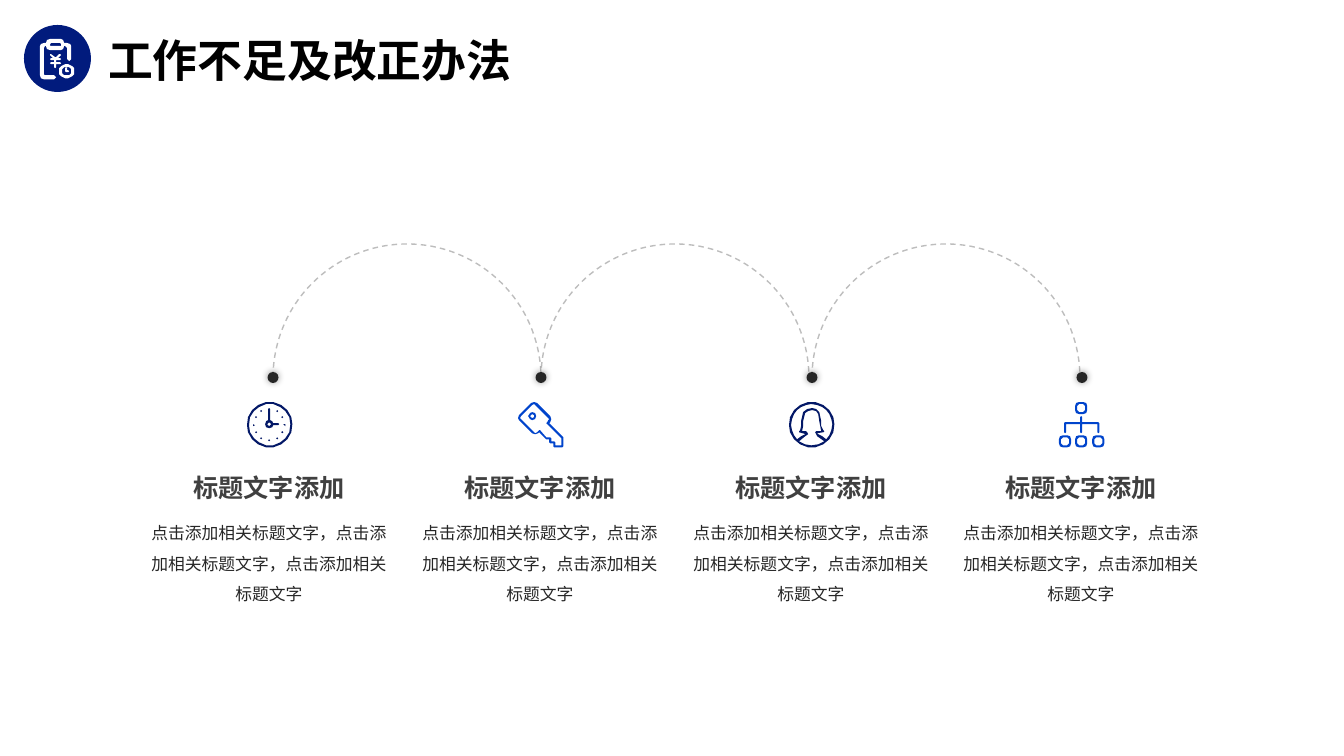
from math import cos, radians, sin

from lxml import etree
from pptx import Presentation
from pptx.dml.color import RGBColor
from pptx.enum.dml import MSO_LINE
from pptx.enum.shapes import MSO_SHAPE
from pptx.enum.text import MSO_ANCHOR, PP_ALIGN
from pptx.oxml.ns import qn
from pptx.util import Inches, Pt

OVAL, ARC, DASH = MSO_SHAPE.OVAL, MSO_SHAPE.ARC, MSO_LINE.DASH
LEFT, CENTER, TOP = PP_ALIGN.LEFT, PP_ALIGN.CENTER, MSO_ANCHOR.TOP

FONT = "Noto Sans CJK SC"
BLACK = RGBColor(0x00, 0x00, 0x00)
WHITE = RGBColor(0xFF, 0xFF, 0xFF)
CHARCOAL = RGBColor(0x26, 0x26, 0x26)
GRAY = RGBColor(0x40, 0x40, 0x40)
BADGE_BLUE = RGBColor(0x01, 0x1B, 0x7D)
NAVY = RGBColor(0x03, 0x18, 0x67)
BLUE = RGBColor(0x00, 0x44, 0xCC)

SLIDE_WIDTH, SLIDE_HEIGHT = 1344, 756
PX = 12192000 / SLIDE_WIDTH
ICON_UNIT = Inches(0.01)


def curve(x, y, radius, start=0, end=360, step=20):
    """Return points along a circle, clockwise from start to end in degrees."""
    return [(x + radius * cos(radians(angle)), y + radius * sin(radians(angle)))
            for angle in range(start, end + 1, step)]


def rounded_square(x, y, size, radius):
    near, far = radius, size - radius
    corners = [(far, far), (near, far), (near, near), (far, near)]
    return [point for turn, (dx, dy) in enumerate(corners)
            for point in curve(x + dx, y + dy, radius, 90 * turn, 90 * turn + 90, 45)]


# Each icon is a list of contours in icon units from its top left corner;
# a contour inside another one is a hole.
RING = [curve(22.5, 22.5, 22.5), curve(22.5, 22.5, 20.5)]
CLOCK = RING + [
    [(31, 21), (26, 21), (25, 19), (23, 18), (23, 7), (22, 6), (21, 7), (21, 18),
     (19, 19), (18, 22), (19, 25), (22, 26), (25, 25), (26, 23), (31, 23), (32, 22)],
    curve(22, 22, 2, step=45),
] + [curve(x, y, 1, step=90) for x, y in curve(22, 22.5, 15.5, -60, 240, 30)]
KEY = [
    [(45, 35), (31, 21), (32, 20), (33, 17), (32, 14), (19, 1), (16, 0), (13, 1),
     (1, 13), (0, 16), (1, 18), (14, 31), (17, 32), (20, 31), (21, 30), (27, 36),
     (28, 37), (31, 37), (31, 40), (32, 41), (35, 41), (35, 44), (36, 45), (44, 45),
     (45, 44)],
    [(43, 43), (37, 43), (37, 40), (36, 39), (33, 39), (33, 36), (32, 35), (28, 35),
     (22, 28), (21, 28), (19, 30), (17, 31), (16, 30), (3, 17), (2, 16), (3, 14),
     (14, 3), (16, 2), (17, 3), (30, 16), (31, 17), (30, 18), (29, 20), (28, 21),
     (29, 22), (43, 36)],
    curve(14.5, 14, 4, step=45), curve(14.5, 14, 2, step=45),
]
PERSON = [
    RING[0],
    curve(22.5, 22.5, 20.5, 135, 405, 15) + [
        (33, 34), (29, 32), (28, 31), (34, 30), (35, 29), (34, 28), (32, 24), (32, 19),
        (30, 10), (27, 7), (23, 6), (18, 7), (14, 10), (12, 19), (12, 24), (11, 28),
        (10, 29), (10, 30), (17, 32), (16, 32), (12, 34)],
    [(22, 43), (16, 42), (10, 39), (16, 34), (19, 32), (18, 30), (17, 29), (13, 29),
     (14, 24), (14, 19), (16, 11), (19, 9), (23, 8), (27, 9), (29, 12), (30, 19),
     (31, 24), (32, 29), (27, 29), (26, 30), (28, 34), (35, 39), (29, 42)],
]
CHART = [
    [(6, 31), (7, 30), (7, 22), (21, 22), (21, 30), (22, 31), (23, 30), (23, 22),
     (38, 22), (38, 30), (39, 31), (40, 30), (40, 21), (39, 20), (23, 20), (23, 15),
     (22, 14), (21, 15), (21, 20), (6, 20), (5, 21), (5, 30)],
]
for box_x, box_y in [(16, 0), (0, 33), (16, 33), (33, 33)]:
    CHART += [rounded_square(box_x, box_y, 12, 4),
              rounded_square(box_x + 2, box_y + 2, 8, 2)]
CLIPBOARD = [
    curve(26.5, 32, 7.5), curve(26.5, 32, 4.5),
    [(28, 33), (26, 33), (25, 32), (25, 29), (26, 28), (27, 29), (27, 31), (28, 31),
     (29, 32)],
    [(20, 23), (21, 24), (20, 25), (16, 25), (16, 28), (15, 29), (14, 28), (14, 25),
     (11, 25), (10, 24), (11, 23), (14, 23), (14, 21), (11, 21), (10, 20), (11, 19),
     (13, 19), (10, 16), (10, 15), (11, 15), (15, 18), (16, 18), (19, 15), (20, 15),
     (21, 16), (18, 19), (20, 19), (21, 20), (20, 21), (16, 21), (16, 23)],
    [(29, 22), (27, 20), (27, 9), (25, 7), (24, 7), (23, 10), (21, 11), (10, 11),
     (7, 10), (6, 7), (5, 7), (4, 9), (4, 35), (5, 36), (14, 36), (16, 38), (14, 40),
     (4, 40), (1, 39), (0, 36), (0, 7), (1, 5), (4, 4), (6, 4), (7, 1), (10, 0),
     (21, 0), (23, 1), (24, 4), (27, 4), (30, 5), (31, 7), (31, 20)],
    [(21, 5), (20, 4), (11, 4), (10, 5), (10, 7), (21, 7)],
]

TITLE = "工作不足及改正办法"
HEADING = "标题文字添加"
BODY = "点击添加相关标题文字，点击添加相关标题文字，点击添加相关标题文字"
# text centre, dot centre, icon, icon colour, heading, body
COLUMNS = [
    (269, 273, CLOCK, NAVY, HEADING, BODY),
    (540, 541, KEY, BLUE, HEADING, BODY),
    (811, 812, PERSON, NAVY, HEADING, BODY),
    (1081, 1082, CHART, BLUE, HEADING, BODY),
]
DOT_TOP, DOT_SIZE = 372, 11
ARC_TOP, ARC_SIZE = 244, 268
ICON_TOP, ICON_SHIFT = 402, -22
HEADING_TOP, HEADING_WIDTH, HEADING_HEIGHT = 472, 270, 30
BODY_TOP, BODY_WIDTH, BODY_HEIGHT = 513, 242, 92


def emu(*lengths):
    return [round(length * PX) for length in lengths]


def add_plain_shape(page, kind, left, top, size):
    shape = page.shapes.add_shape(kind, *emu(left, top, size, size))
    shape.shadow.inherit = False
    return shape


def paint(shape, color):
    shape.fill.solid()
    shape.fill.fore_color.rgb = color
    shape.line.fill.background()


def draw_icon(page, contours, left, top, color):
    builder = page.shapes.build_freeform(*contours[0][0], scale=ICON_UNIT)
    builder.add_line_segments(contours[0][1:])
    for contour in contours[1:]:
        builder.move_to(*contour[0])
        builder.add_line_segments(contour[1:])
    icon = builder.convert_to_shape(*emu(left, top))
    icon.shadow.inherit = False
    paint(icon, color)


def add_arc(page, left):
    arc = add_plain_shape(page, ARC, left, ARC_TOP, ARC_SIZE)
    arc.adjustments[0] = 108.17
    arc.adjustments[1] = 0
    arc.fill.background()
    arc.line.color.rgb = CHARCOAL
    arc.line.width = Pt(1)
    arc.line.dash_style = DASH
    color = arc._element.spPr.find(qn("a:ln")).find(".//" + qn("a:srgbClr"))
    etree.SubElement(color, qn("a:alpha"), val="30000")


def add_dot(page, x):
    dot = add_plain_shape(page, OVAL, x - DOT_SIZE / 2, DOT_TOP, DOT_SIZE)
    paint(dot, CHARCOAL)
    effects = dot._element.spPr.find(qn("a:effectLst"))
    glow = etree.SubElement(effects, qn("a:outerShdw"), blurRad=str(Pt(5)), dist="0",
                            algn="ctr", rotWithShape="0")
    color = etree.SubElement(glow, qn("a:srgbClr"), val=str(BLACK))
    etree.SubElement(color, qn("a:alpha"), val="40000")


def write(box, text, size, color, bold=False, align=CENTER, spacing=1.0):
    frame = box.text_frame
    frame.word_wrap = True
    frame.vertical_anchor = TOP
    para = frame.paragraphs[0]
    para.text = text
    para.alignment, para.line_spacing = align, spacing
    font = para.font
    font.name, font.size, font.bold = FONT, Pt(size), bold
    font.color.rgb = color
    latin = para._p.find(".//" + qn("a:latin"))
    latin.addnext(latin.makeelement(qn("a:ea"), {"typeface": FONT}))


def add_text(page, x, top, width, height, text, size, color, **style):
    box = page.shapes.add_textbox(*emu(x - width / 2, top, width, height))
    frame = box.text_frame
    frame.margin_left = frame.margin_right = frame.margin_top = frame.margin_bottom = 0
    write(box, text, size, color, **style)


def main():
    deck = Presentation()
    deck.slide_width, deck.slide_height = emu(SLIDE_WIDTH, SLIDE_HEIGHT)
    page = deck.slides.add_slide(deck.slide_layouts[5])
    title = page.shapes.title
    title.left, title.top, title.width, title.height = emu(98, 28, 516, 65)
    write(title, TITLE, 32, BLACK, bold=True, align=LEFT)
    paint(add_plain_shape(page, OVAL, 24, 25, 67), BADGE_BLUE)
    draw_icon(page, CLIPBOARD, 40, 39, WHITE)

    for column in COLUMNS[:-1]:
        add_arc(page, column[1])
    for x, dot_x, icon, color, heading, body in COLUMNS:
        add_dot(page, dot_x)
        draw_icon(page, icon, x + ICON_SHIFT, ICON_TOP, color)
        add_text(page, x, BODY_TOP, BODY_WIDTH, BODY_HEIGHT,
                 body, 12, CHARCOAL, spacing=1.5)
        add_text(page, x, HEADING_TOP, HEADING_WIDTH, HEADING_HEIGHT,
                 heading, 18, GRAY, bold=True)
    deck.save("out.pptx")


if __name__ == "__main__":
    main()
